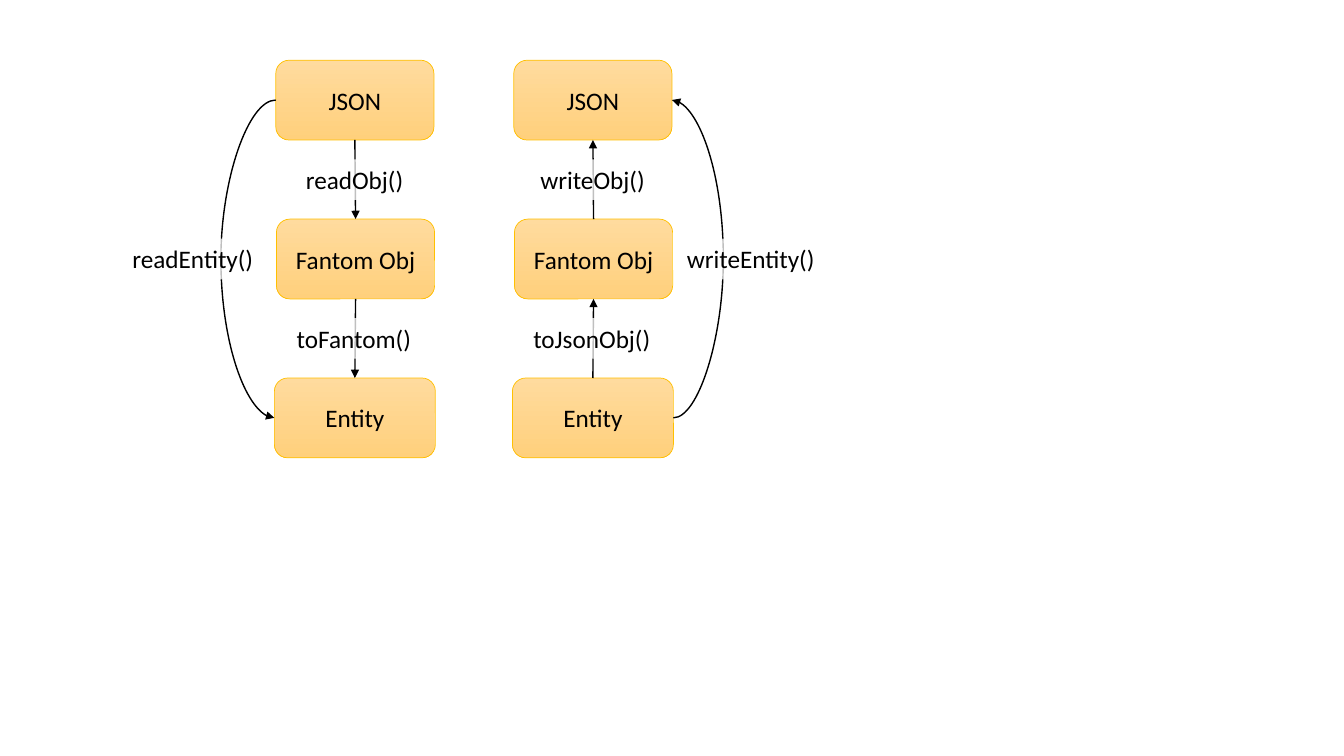
"""Draw the reading and writing routes between JSON and entities."""
from dataclasses import dataclass

from lxml import etree
from pptx import Presentation
from pptx.dml.color import RGBColor
from pptx.enum.shapes import MSO_CONNECTOR, MSO_SHAPE
from pptx.enum.text import MSO_ANCHOR, MSO_AUTO_SIZE, PP_ALIGN
from pptx.oxml.ns import qn
from pptx.shapes.autoshape import Shape
from pptx.shapes.connector import Connector
from pptx.text.text import TextFrame
from pptx.util import Pt

ROUND = MSO_SHAPE.ROUNDED_RECTANGLE
STRAIGHT, CURVE = MSO_CONNECTOR.STRAIGHT, MSO_CONNECTOR.CURVE
MIDDLE, CENTER = MSO_ANCHOR.MIDDLE, PP_ALIGN.CENTER
FIT = MSO_AUTO_SIZE.SHAPE_TO_FIT_TEXT

BLACK = RGBColor(0x00, 0x00, 0x00)
WHITE = RGBColor(0xFF, 0xFF, 0xFF)
GOLD = RGBColor(0xFF, 0xC0, 0x00)
LIGHT = RGBColor(0xFF, 0xDB, 0x9E)
DEEP = RGBColor(0xFF, 0xD0, 0x7C)

TOP, STEP, HIGH = 43, 113.5, 57
LABEL_HIGH, LABEL_WIDE = 29, 112.5
ABOVE, LEFT, BELOW, RIGHT = range(4)


@dataclass(frozen=True)
class Stage:
    """A box in a route, placed from the left of its column."""
    text: str
    shift: float
    wide: float


@dataclass(frozen=True)
class Route:
    """A column of stages with its calls and its direct curve."""
    left: float
    down: bool
    calls: tuple[str, str]
    direct: str
    direct_left: float
    direct_wide: float
    side: int
    bulge: float


STAGES = (
    Stage("JSON", 1, 113),
    Stage("Fantom Obj", 1.5, 113),
    Stage("Entity", 0, 115),
)
ROUTES = (
    Route(196, True, ("readObj()", "toFantom()"), "readEntity()",
          81.5, LABEL_WIDE, LEFT, 39.5),
    Route(366, False, ("writeObj()", "toJsonObj()"), "writeEntity()",
          481.5, 109.5, RIGHT, -36),
)


def write(frame: TextFrame, text: str) -> None:
    """Set centred black text."""
    frame.text = text
    frame.word_wrap = True
    line = frame.paragraphs[0]
    line.alignment = CENTER
    font = line.runs[0].font
    font.name, font.size = "Calibri", Pt(18)
    font.color.rgb = BLACK


def add_stage(stage: Stage, left: float, row: int) -> Shape:
    """Draw one box of a route."""
    box = slide.shapes.add_shape(
        ROUND, Pt(left + stage.shift), Pt(TOP + row * STEP), Pt(stage.wide), Pt(HIGH))
    box.shadow.inherit = False
    box.fill.gradient()
    box.fill.gradient_angle = 270
    for stop, tone in zip(box.fill.gradient_stops, (LIGHT, DEEP)):
        stop.color.rgb = tone
    box.line.color.rgb = GOLD
    box.line.width = Pt(0.5)
    box.text_frame.vertical_anchor = MIDDLE
    write(box.text_frame, stage.text)
    return box


def add_arrow(kind: MSO_CONNECTOR, start: Shape, start_site: int,
              end: Shape, end_site: int) -> Connector:
    """Join two boxes with an arrow."""
    arrow = slide.shapes.add_connector(kind, 0, 0, 0, 0)
    arrow.begin_connect(start, start_site)
    arrow.end_connect(end, end_site)
    arrow.line.color.rgb = BLACK
    arrow.line.width = Pt(1)
    props = arrow._element.spPr
    etree.SubElement(props.find(qn("a:ln")), qn("a:tailEnd"), type="triangle")
    etree.SubElement(props, qn("a:effectLst"))
    return arrow


def bend(arrow: Connector, bulge: float) -> None:
    """Set how far a curve swings out, in points."""
    ratio = round(bulge * Pt(1) / arrow.width * 100000)
    shape = arrow._element.spPr.find(qn("a:prstGeom"))
    guides = shape.find(qn("a:avLst"))
    etree.SubElement(guides, qn("a:gd"), name="adj1", fmla=f"val {ratio}")


def add_label(text: str, left: float, top: float, wide: float) -> None:
    """Draw a call name on a veil of white."""
    label = slide.shapes.add_textbox(Pt(left), Pt(top), Pt(wide), Pt(LABEL_HIGH))
    label.fill.solid()
    label.fill.fore_color.rgb = WHITE
    tone = label._element.spPr.find(qn("a:solidFill"))[0]
    etree.SubElement(tone, qn("a:alpha"), val="75000")
    write(label.text_frame, text)
    label.text_frame.auto_size = FIT


def add_route(route: Route) -> None:
    """Draw a whole column."""
    boxes = [add_stage(stage, route.left, row) for row, stage in enumerate(STAGES)]
    first, last = boxes[0], boxes[-1]
    ends = (first, last) if route.down else (last, first)
    curve = add_arrow(CURVE, ends[0], route.side, ends[1], route.side)
    bend(curve, route.bulge)
    for upper, lower in zip(boxes, boxes[1:]):
        if route.down:
            add_arrow(STRAIGHT, upper, BELOW, lower, ABOVE)
        else:
            add_arrow(STRAIGHT, lower, ABOVE, upper, BELOW)
    middle = TOP + (HIGH + STEP - LABEL_HIGH) / 2
    for row, call in enumerate(route.calls):
        add_label(call, route.left + 1 - row / 2, middle + row * STEP, LABEL_WIDE)
    add_label(route.direct, route.direct_left, middle + STEP / 2, route.direct_wide)


deck = Presentation()
deck.slide_width, deck.slide_height = Pt(960), Pt(540)
slide = deck.slides.add_slide(deck.slide_layouts[6])
for route in ROUTES:
    add_route(route)
deck.save("out.pptx")
